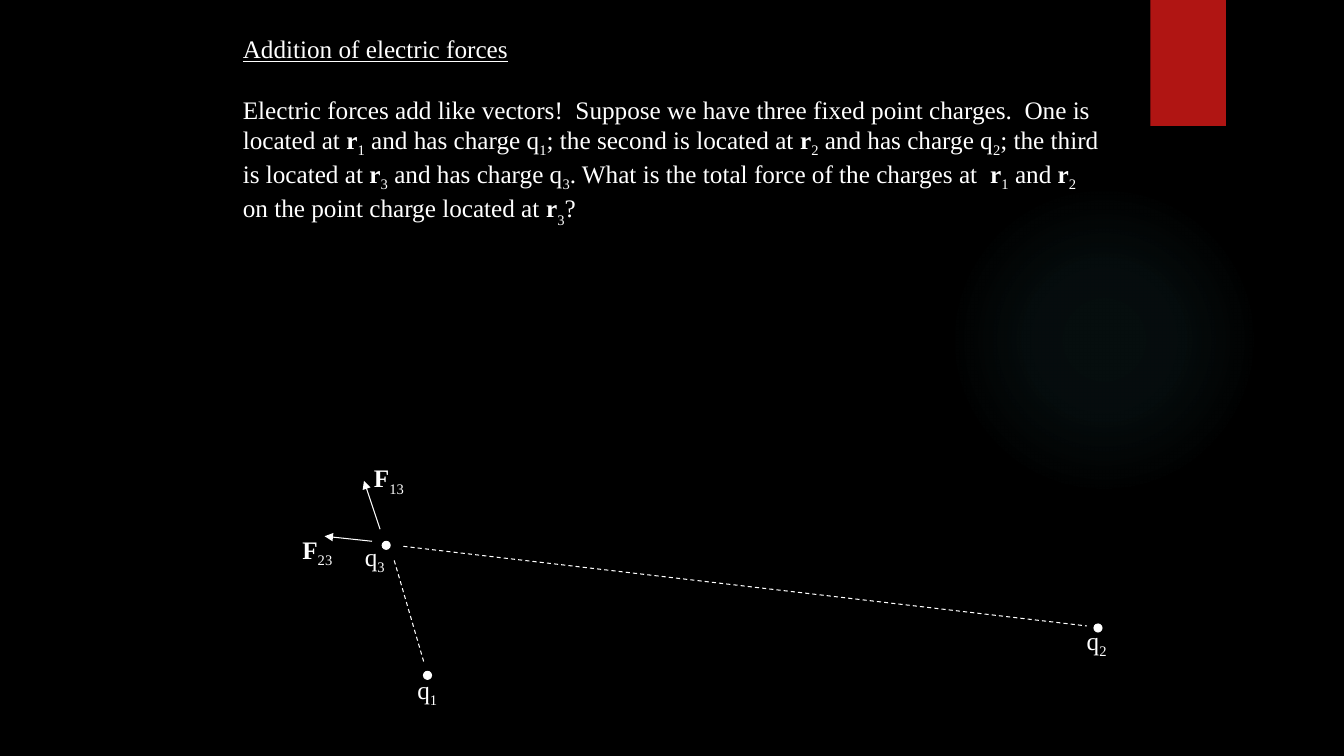
from pptx import Presentation
from pptx.dml.color import RGBColor
from pptx.enum.dml import MSO_LINE
from pptx.enum.shapes import MSO_CONNECTOR as CONN, MSO_SHAPE as SHAPE
from pptx.enum.text import MSO_AUTO_SIZE as AUTO
from pptx.oxml import parse_xml
from pptx.oxml.ns import nsdecls, qn
from pptx.util import Inches, Pt
from lxml import etree

# Content: runs are (text, style), where style is "", "u", "b", "sub" or "low"
FONT, SIZE = "Times New Roman", 18
BLACK, WHITE, RED, TEAL = "000000", "FFFFFF", "B01513", "50B9C1"
BASELINES = {"sub": "-25000", "low": "-30000"}

HEADING = [("Addition of electric forces", "u")]
PROBLEM = [
    ("Electric forces add like vectors!  Suppose we have three fixed point "
     "charges.  One is located at", ""),
    (" r", "b"), ("1", "sub"), (" and has charge q", ""), ("1", "sub"),
    ("; the second is located at", ""),
    (" r", "b"), ("2", "sub"), (" and has charge q", ""), ("2", "sub"),
    ("; the third is located at", ""),
    (" r", "b"), ("3", "sub"), (" and has charge q", ""), ("3", "sub"),
    (". What is the total force of the charges at  ", ""),
    ("r", "b"), ("1", "sub"), (" and ", ""), ("r", "b"), ("2 ", "sub"),
    ("on the point charge located at ", ""),
    ("r", "b"), ("3", "low"), ("?", ""),
]
# Charge number, dot corner, label corner
CHARGES = [
    ("1", (4.2, 6.66), (4.04, 6.64)),
    ("2", (10.85, 6.19), (10.68, 6.15)),
    ("3", (3.79, 5.37), (3.52, 5.32)),
]
# Force index, arrow start, arrow tip, label corner
FORCES = [
    ("13", (3.77, 5.25), (3.61, 4.77), (3.61, 4.54)),
    ("23", (3.69, 5.37), (3.22, 5.32), (2.9, 5.25)),
]
SEPARATIONS = [((4, 5.42), (10.78, 6.21)), ((3.91, 5.56), (4.21, 6.59))]
GLOW_STOPS = [(0, 7), (36, 6), (69, 0)]  # position %, opacity %
DOT = 0.08


def rgb(hex_color):
    return RGBColor.from_string(hex_color)


def add_shape(kind, x, y, w, h, fill=None, line=None):
    sp = s.shapes.add_shape(kind, Inches(x), Inches(y), Inches(w), Inches(h))
    sp.shadow.inherit = False
    if fill:
        sp.fill.solid()
        sp.fill.fore_color.rgb = rgb(fill)
    if line:
        sp.line.color.rgb = rgb(line)
        sp.line.width = Pt(0.75)
    else:
        sp.line.fill.background()
    return sp


def add_text(x, y, w, h, paragraphs, wrap=False):
    tf = s.shapes.add_textbox(Inches(x), Inches(y), Inches(w), Inches(h)).text_frame
    tf.word_wrap = wrap
    tf.auto_size = AUTO.SHAPE_TO_FIT_TEXT
    for i, runs in enumerate(paragraphs):
        p = tf.add_paragraph() if i else tf.paragraphs[0]
        if i:
            p.space_before = Pt(21.7)
        for text, style in runs:
            r = p.add_run()
            r.text = text
            r.font.name, r.font.size = FONT, Pt(SIZE)
            r.font.color.rgb = rgb(WHITE)
            r.font.bold = style == "b"
            r.font.underline = style == "u"
            if style in BASELINES:
                r._r.get_or_add_rPr().set("baseline", BASELINES[style])


def add_line(start, end, arrow=False):
    c = s.shapes.add_connector(CONN.STRAIGHT, *map(Inches, start + end))
    c.line.color.rgb = rgb(WHITE)
    c.line.width = Pt(0.75)
    if arrow:
        etree.SubElement(c.line._get_or_add_ln(), qn("a:tailEnd"), type="triangle")
    else:
        c.line.dash_style = MSO_LINE.DASH
    etree.SubElement(c._element.spPr, qn("a:effectLst"))


prs = Presentation()
prs.slide_width, prs.slide_height = Inches(13.33), Inches(7.5)
s = prs.slides.add_slide(prs.slide_layouts[6])
s.background.fill.solid()
s.background.fill.fore_color.rgb = rgb(BLACK)

# Backdrop: faint round glow and red tab
glow = add_shape(SHAPE.OVAL, 9.41, 1.83, 3.08, 3.08)
stops = "".join(
    f'<a:gs pos="{pos * 1000}"><a:srgbClr val="{TEAL}">'
    f'<a:alpha val="{alpha * 1000}"/></a:srgbClr></a:gs>'
    for pos, alpha in GLOW_STOPS)
glow._element.spPr.find(qn("a:prstGeom")).addnext(parse_xml(
    f'<a:gradFill {nsdecls("a")}><a:gsLst>{stops}</a:gsLst><a:path path="circle">'
    '<a:fillToRect l="50000" t="50000" r="50000" b="50000"/></a:path></a:gradFill>'))
add_shape(SHAPE.RECTANGLE, 11.41, 0, 0.75, 1.25, RED)

# Problem statement
add_text(2.31, 0.28, 8.72, 1.92, [HEADING, PROBLEM], wrap=True)

# Charges
for number, dot, label in CHARGES:
    add_shape(SHAPE.OVAL, *dot, DOT, DOT, WHITE, WHITE)
    add_text(*label, 0.41, 0.4, [[("q", ""), (number, "sub")]])

# Forces on the third charge
for index, start, tip, label in FORCES:
    add_line(start, tip, arrow=True)
    add_text(*label, 0.52, 0.4, [[("F", "b"), (index, "sub")]])

# Dashed lines between the charges
for start, end in SEPARATIONS:
    add_line(start, end)

prs.save("out.pptx")
